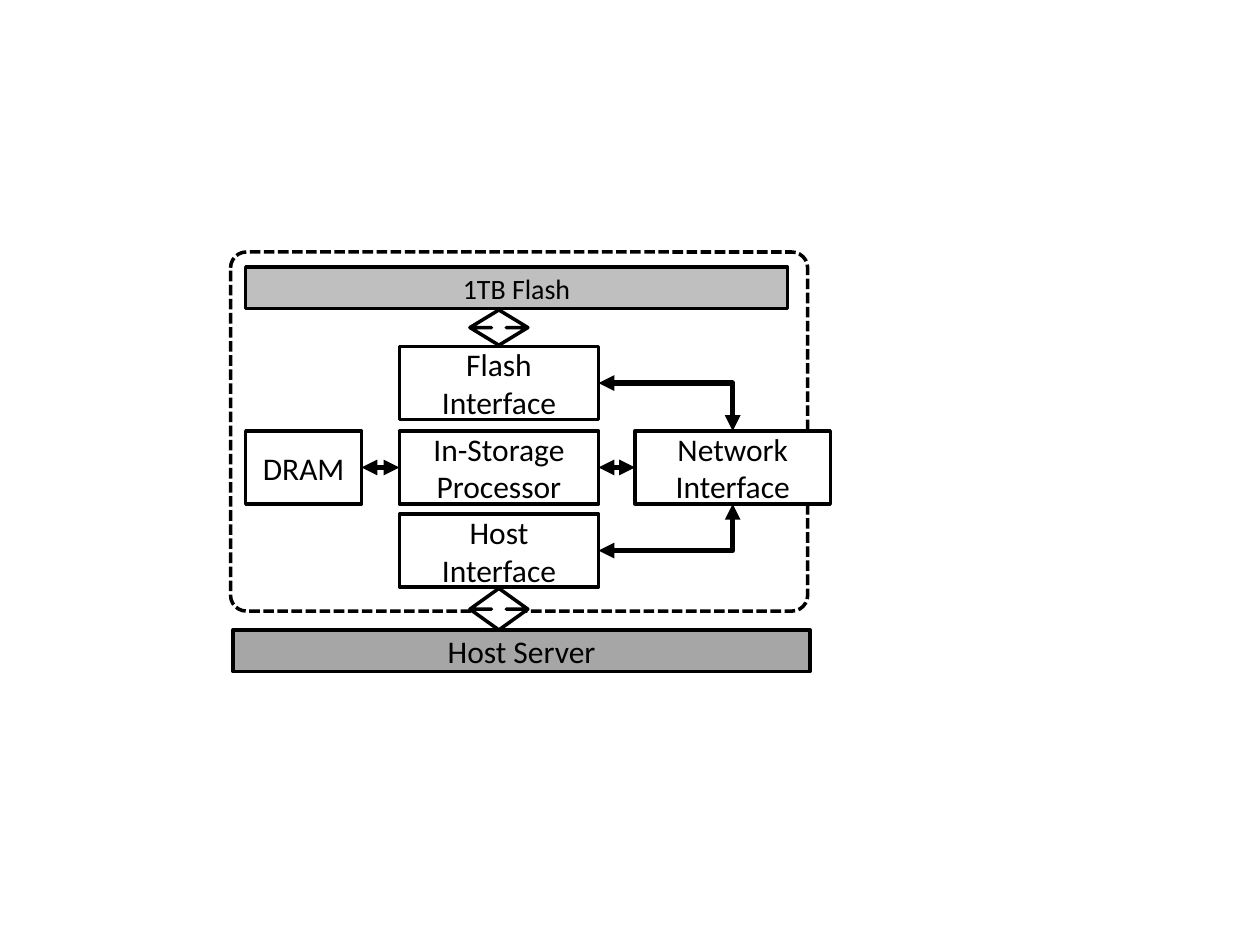
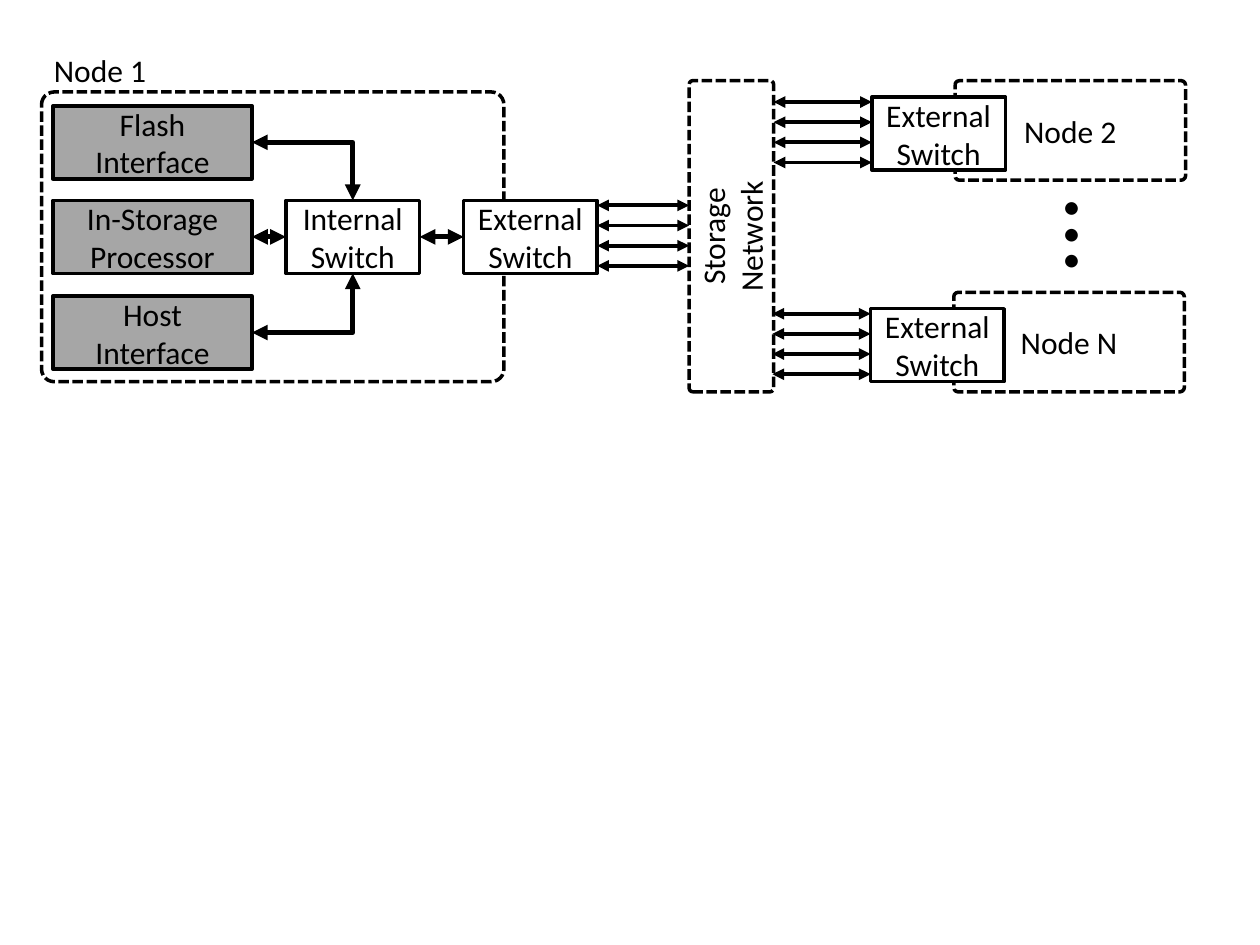
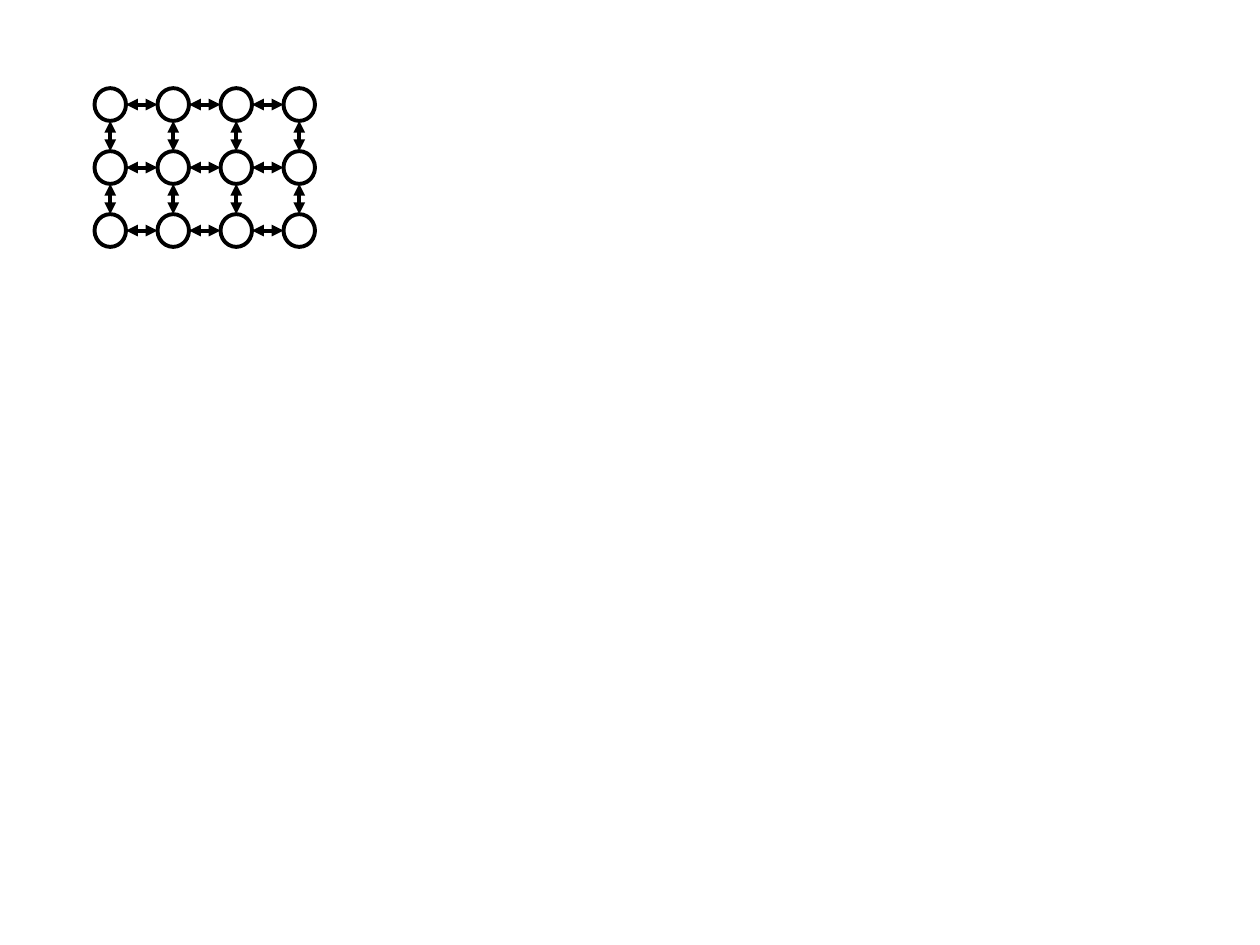
from itertools import product

from lxml.etree import SubElement
from pptx import Presentation
from pptx.dml.color import RGBColor
from pptx.enum.dml import MSO_LINE
from pptx.enum.shapes import MSO_CONNECTOR, MSO_SHAPE
from pptx.enum.text import MSO_AUTO_SIZE, PP_ALIGN
from pptx.oxml.ns import qn
from pptx.util import Inches, Pt

# Shared look
BLACK = RGBColor(0x00, 0x00, 0x00)
WHITE = RGBColor(0xFF, 0xFF, 0xFF)
LIGHT_GRAY = RGBColor(0xBF, 0xBF, 0xBF)
MID_GRAY = RGBColor(0xA6, 0xA6, 0xA6)
BODY_FONT = {"name": "Calibri", "size": Pt(18)}
SMALL_FONT = {**BODY_FONT, "size": Pt(16)}
DOTS_FONT = {**BODY_FONT, "size": Pt(60)}
OUTLINE = {"width": Pt(2)}
DASHED = {**OUTLINE, "dash_style": MSO_LINE.SQUARE_DOT}
THICK = {"width": Pt(3)}
THIN = {"width": Pt(2.25)}
TOP, LEFT, BOTTOM, RIGHT = range(4)
CORNER = [0.044]
BLOCK_HEIGHT = 0.58
INTERFACE_WIDTH = 1.58
SWITCH_WIDTH = 1.06


def apply_format(target, values):
    for name, value in values.items():
        setattr(target, name, value)


def style_line(line, values):
    line.color.rgb = BLACK
    apply_format(line, values)


def write_text(frame, text, font=BODY_FONT, align=PP_ALIGN.CENTER):
    frame.text = text
    for para in frame.paragraphs:
        para.alignment = align
        apply_format(para.font, font)
        para.font.color.rgb = BLACK


def add_box(page, box, text="", fill=WHITE, kind=MSO_SHAPE.RECTANGLE,
            line=OUTLINE, adjustments=(), font=BODY_FONT):
    shape = page.shapes.add_shape(kind, *map(Inches, box))
    shape.shadow.inherit = False
    for index, value in enumerate(adjustments):
        shape.adjustments[index] = value
    if fill is None:
        shape.fill.background()
    else:
        shape.fill.solid()
        shape.fill.fore_color.rgb = fill
    style_line(shape.line, line)
    if text:
        write_text(shape.text_frame, text, font)
    return shape


def add_frame(page, box, text="", fill=WHITE):
    return add_box(page, box, text, fill, MSO_SHAPE.ROUNDED_RECTANGLE, DASHED, CORNER)


def add_label(page, box, text, font=BODY_FONT, align=PP_ALIGN.LEFT):
    label = page.shapes.add_textbox(*map(Inches, box))
    label.text_frame.word_wrap = False
    label.text_frame.auto_size = MSO_AUTO_SIZE.SHAPE_TO_FIT_TEXT
    write_text(label.text_frame, text, font, align)
    return label


def add_arrow(page, points=(0, 0, 0, 0), line=THIN, kind=MSO_CONNECTOR.STRAIGHT):
    """Draw a connector with a triangle at both ends."""
    arrow = page.shapes.add_connector(kind, *map(Inches, points))
    style_line(arrow.line, line)
    properties = arrow._element.spPr
    outline = properties.find(qn("a:ln"))
    for end in ("a:headEnd", "a:tailEnd"):
        SubElement(outline, qn(end), type="triangle")
    SubElement(properties, qn("a:effectLst"))
    return arrow


def join(page, first, first_side, second, second_side):
    """Join two blocks, with one bend when the sides are at right angles."""
    bent = first_side % 2 != second_side % 2
    kind = MSO_CONNECTOR.ELBOW if bent else MSO_CONNECTOR.STRAIGHT
    arrow = add_arrow(page, line=THICK, kind=kind)
    arrow.begin_connect(first, first_side)
    arrow.end_connect(second, second_side)
    if bent:
        arrow._element.spPr.find(qn("a:prstGeom")).set("prst", "bentConnector2")


def add_interfaces(page, left, tops, fill):
    """Stack the flash, processor and host blocks."""
    names = ("Flash Interface", "In-Storage Processor", "Host Interface")
    return [add_box(page, (left, top, INTERFACE_WIDTH, BLOCK_HEIGHT), name, fill)
            for name, top in zip(names, tops)]


def join_interfaces(page, interfaces, hub):
    for block, side in zip(interfaces, (TOP, LEFT, BOTTOM)):
        join(page, block, RIGHT, hub, side)


def add_switch(page, left, top, name):
    return add_box(page, (left, top, SWITCH_WIDTH, BLOCK_HEIGHT), f"{name}\nSwitch")


# Storage device with its host server
def draw_storage_device(page, left, top):
    add_frame(page, (left, top, 4.58, 2.85), fill=None)
    middle = top + 1.42
    interfaces = add_interfaces(page, left + 1.34,
                                (top + 0.75, middle, top + 2.08), WHITE)
    network = add_box(page, (left + 3.21, middle, 1.55, BLOCK_HEIGHT),
                      "Network\nInterface")
    memory = add_box(page, (left + 0.12, middle, 0.92, BLOCK_HEIGHT), "DRAM")
    join_interfaces(page, interfaces, network)
    join(page, interfaces[1], LEFT, memory, RIGHT)

    add_box(page, (left + 0.12, top + 0.12, 4.3, 0.33), "1TB Flash",
            LIGHT_GRAY, font=SMALL_FONT)
    add_box(page, (left + 0.02, top + 3, 4.58, 0.33), "Host Server", MID_GRAY)
    for offset, height in ((0.46, 0.28), (2.67, 0.33)):
        add_box(page, (left + 1.9, top + offset, 0.46, height),
                kind=MSO_SHAPE.UP_DOWN_ARROW, adjustments=(0.5, 0.255))


# Parts of the node network
def draw_first_node(page, left, top):
    add_frame(page, (left, top, 3.67, 2.3))
    add_label(page, (left, top - 0.37, 0.94, 0.4), "Node 1")
    middle = top + 0.86
    interfaces = add_interfaces(page, left + 0.09,
                                (top + 0.11, middle, top + 1.62), MID_GRAY)
    internal = add_switch(page, left + 1.94, middle, "Internal")
    external = add_switch(page, left + 3.35, middle, "External")
    join_interfaces(page, interfaces, internal)
    join(page, internal, RIGHT, external, LEFT)


def draw_remote_node(page, left, top, name):
    add_frame(page, (left + 0.66, top, 1.83, 0.79), name)
    add_switch(page, left, top + 0.13, "External")
    draw_links(page, left - 0.78, left, top + 0.13)


def draw_links(page, start, end, switch_top):
    for index in range(4):
        height = switch_top + 0.04 + 0.16 * index
        add_arrow(page, (start, height, end, height))


def draw_node_network(page):
    draw_first_node(page, 0.33, 0.73)
    network = add_frame(page, (4.57, 1.54, 2.47, 0.67), "Storage\nNetwork")
    network.rotation = 270
    draw_links(page, 4.74, 5.47, 1.59)
    draw_remote_node(page, 6.92, 0.64, "Node 2")
    draw_remote_node(page, 6.91, 2.32, "Node N")
    dots = add_label(page, (7.83, 1.32, 0.78, 1.11), "…", DOTS_FONT, PP_ALIGN.RIGHT)
    dots.rotation = 270


# Mesh of linked nodes
def draw_mesh(page, left, top, columns=4, rows=3):
    pitch, width, height = 0.5, 0.25, 0.26
    for row, column in product(range(rows), range(columns)):
        x, y = left + column * pitch, top + row * pitch
        center_x, center_y = x + width / 2, y + height / 2
        add_box(page, (x, y, width, height), kind=MSO_SHAPE.OVAL, line=THIN)
        if column < columns - 1:
            add_arrow(page, (x + width, center_y, x + pitch, center_y))
        if row < rows - 1:
            add_arrow(page, (center_x, y + pitch, center_x, y + height))


def main():
    deck = Presentation()
    deck.slide_width, deck.slide_height = Inches(10), Inches(7.5)
    device_page, network_page, mesh_page = [
        deck.slides.add_slide(deck.slide_layouts[6]) for _ in range(3)]
    draw_storage_device(device_page, 1.83, 2)
    draw_node_network(network_page)
    draw_mesh(mesh_page, 0.75, 0.7)
    deck.save("out.pptx")


if __name__ == "__main__":
    main()
